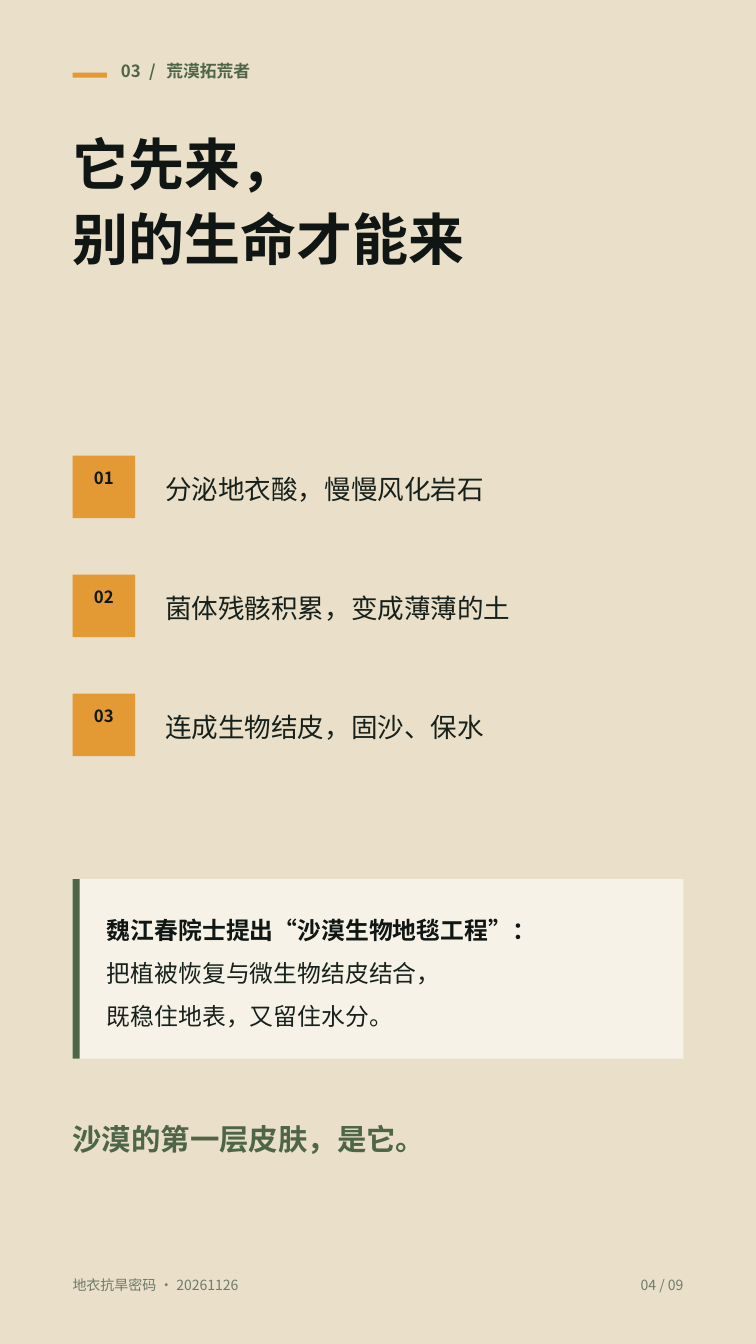
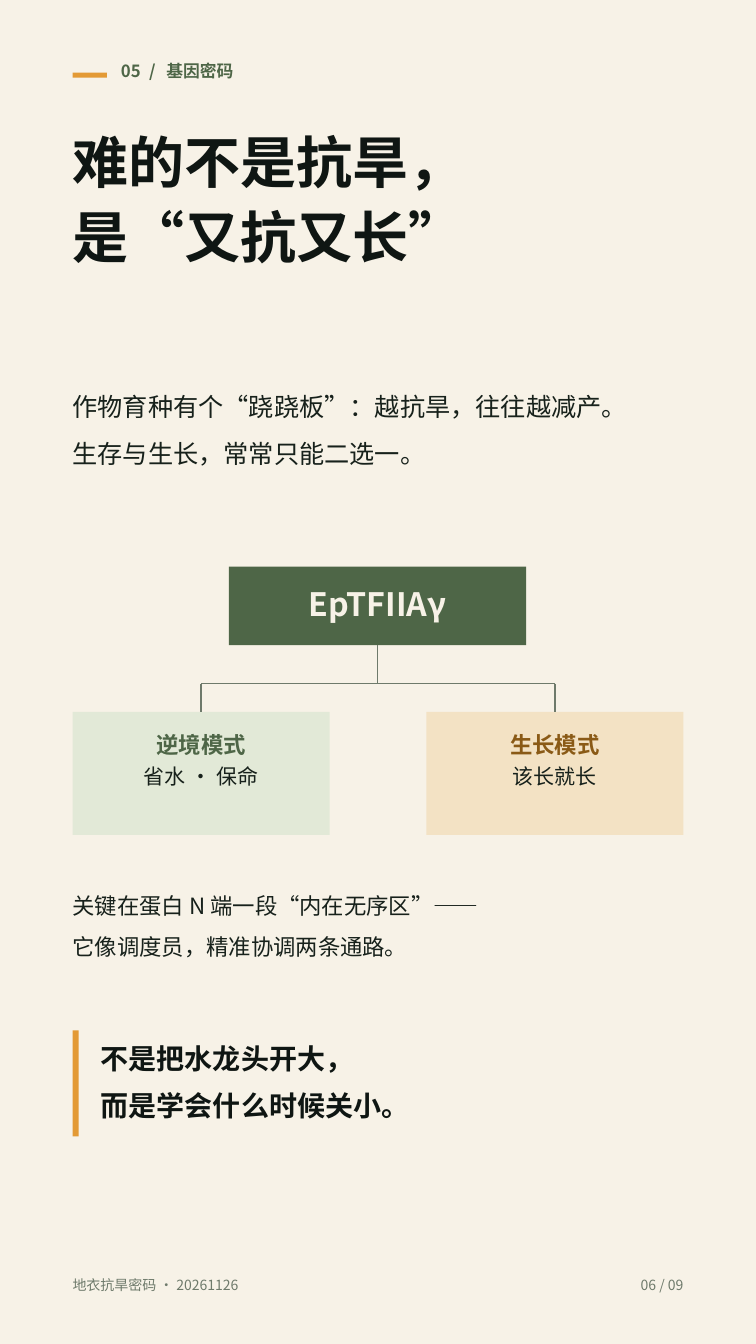
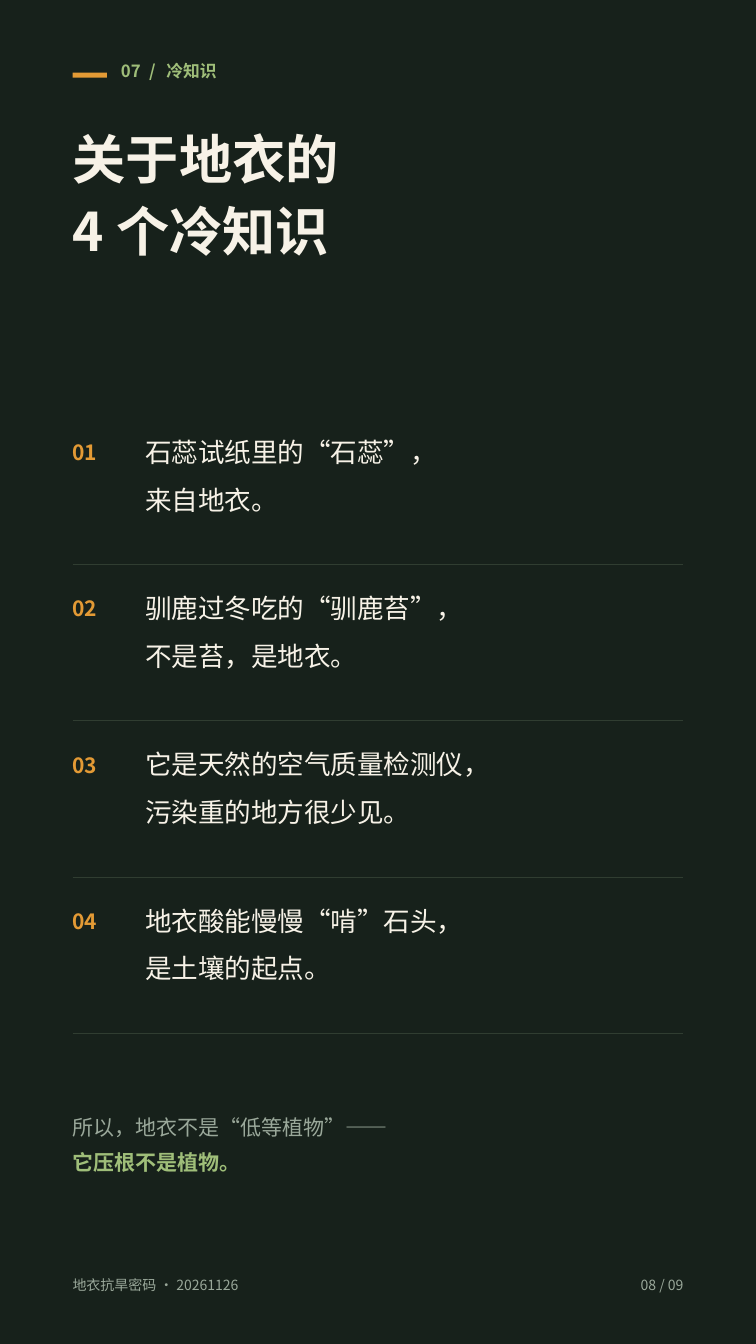
import pptx
import pptx.util
import pptx.dml.color
import pptx.enum.shapes
import pptx.enum.text
import pptx.oxml.ns
from lxml import etree

Inches = pptx.util.Inches
Pt = pptx.util.Pt
qn = pptx.oxml.ns.qn

FONT = "Noto Sans CJK SC"
COLORS = {
    "sand": "EADFC8",
    "cream": "F7F2E7",
    "night": "17211B",
    "ink": "0F1613",
    "moss": "4E6647",
    "leaf": "9FBE79",
    "amber": "E39A35",
    "brown": "8A5A16",
    "mint": "E2E9D7",
    "apricot": "F3E2C4",
    "stone": "6E7A6B",
    "mist": "9AA89A",
    "rule": "303D31",
}
ALIGNMENTS = {
    "left": pptx.enum.text.PP_ALIGN.LEFT,
    "center": pptx.enum.text.PP_ALIGN.CENTER,
    "right": pptx.enum.text.PP_ALIGN.RIGHT,
}
WIDTH, HEIGHT = 7.5, 13.33
MARGIN = 0.72
CONTENT = WIDTH - 2 * MARGIN


def rgb(name):
    return pptx.dml.color.RGBColor.from_string(COLORS[name])


def write(frame, lines, insets=(0, 0, 0, 0), **style):
    frame.word_wrap = True
    frame.auto_size = pptx.enum.text.MSO_AUTO_SIZE.NONE
    frame.vertical_anchor = pptx.enum.text.MSO_ANCHOR.TOP
    (frame.margin_left, frame.margin_top,
     frame.margin_right, frame.margin_bottom) = map(Inches, insets)
    for index, line in enumerate(lines):
        text, changes = (line, {}) if isinstance(line, str) else line
        look = {"size": 12, "color": "night", "bold": False, "align": "left",
                "spacing": None, "tabs": (), **style, **changes}
        paragraph = frame.add_paragraph() if index else frame.paragraphs[0]
        paragraph.alignment = ALIGNMENTS[look["align"]]
        if look["spacing"]:
            paragraph.line_spacing = look["spacing"]
        if look["tabs"]:
            stops = etree.SubElement(paragraph._p.get_or_add_pPr(), qn("a:tabLst"))
            for stop in look["tabs"]:
                etree.SubElement(stops, qn("a:tab"), pos=str(Inches(stop)), algn="l")
        run = paragraph.add_run()
        run.text = text
        run.font.size = Pt(look["size"])
        run.font.bold = look["bold"]
        run.font.color.rgb = rgb(look["color"])
        run.font.name = FONT
        etree.SubElement(run._r.get_or_add_rPr(), qn("a:ea"), typeface=FONT)


class Deck:
    def __init__(self):
        self.presentation = pptx.Presentation()
        self.presentation.slide_width = Inches(WIDTH)
        self.presentation.slide_height = Inches(HEIGHT)
        self.slide = None

    def start(self, background, section, title, page, title_top=1.18, title_size=40,
              title_color="ink", section_color="moss", footer_color="stone"):
        self.slide = self.presentation.slides.add_slide(self.presentation.slide_layouts[5])
        self.slide.background.fill.solid()
        self.slide.background.fill.fore_color.rgb = rgb(background)
        heading = self.slide.shapes.title
        heading.left, heading.top = Inches(MARGIN), Inches(title_top)
        heading.width, heading.height = Inches(CONTENT), Inches(2)
        write(heading.text_frame, title, size=title_size, color=title_color,
              bold=True, spacing=1.12)
        self.box(MARGIN, 0.72, 0.34, 0.05, "amber")
        self.text(1.2, 0.6, 5, 0.34, [section], color=section_color, bold=True,
                  tabs=(0.28, 0.45))
        self.text(MARGIN, 12.66, 3.6, 0.3, ["地衣抗旱密码 · 20261126"],
                  size=10, color=footer_color)
        self.text(WIDTH - MARGIN - 1.2, 12.66, 1.2, 0.3, [f"{page} / 09"],
                  size=10, color=footer_color, align="right")

    def text(self, left, top, width, height, lines, **style):
        area = self.slide.shapes.add_textbox(
            Inches(left), Inches(top), Inches(width), Inches(height))
        write(area.text_frame, lines, **style)

    def box(self, left, top, width, height, fill, lines=(), **style):
        block = self.slide.shapes.add_shape(
            pptx.enum.shapes.MSO_SHAPE.RECTANGLE,
            Inches(left), Inches(top), Inches(width), Inches(height))
        block.shadow.inherit = False
        block.fill.solid()
        block.fill.fore_color.rgb = rgb(fill)
        block.line.fill.background()
        if lines:
            write(block.text_frame, lines, **style)
        return block

    def line(self, start, end, color, weight, begin=None, finish=None):
        connector = self.slide.shapes.add_connector(
            pptx.enum.shapes.MSO_CONNECTOR.STRAIGHT,
            *map(Inches, start), *map(Inches, end))
        connector.line.color.rgb = rgb(color)
        connector.line.width = Pt(weight)
        etree.SubElement(connector._element.spPr, qn("a:effectLst"))
        if begin:
            connector.begin_connect(*begin)
        if finish:
            connector.end_connect(*finish)


def build_pioneer(deck):
    deck.start("sand", "03\t/\t荒漠拓荒者", ["它先来，", "别的生命才能来"], "04", title_top=1.2)
    steps = ["分泌地衣酸，慢慢风化岩石", "菌体残骸积累，变成薄薄的土", "连成生物结皮，固沙、保水"]
    for index, step in enumerate(steps):
        top = 4.52 + 1.18 * index
        deck.box(MARGIN, top, 0.62, 0.62, "amber", [f"{index + 1:02d}"],
                 insets=(0, 0.12, 0, 0), color="ink", bold=True, align="center")
        deck.text(1.64, top + 0.04, 5.14, 1, [step], size=19, spacing=1.4)
    proposal = [
        ("魏江春院士提出“沙漠生物地毯工程”：", {"color": "ink", "bold": True}),
        "把植被恢复与微生物结皮结合，",
        "既稳住地表，又留住水分。",
    ]
    deck.box(MARGIN, 8.72, CONTENT, 1.78, "cream", proposal,
             insets=(0.34, 0.22, 0.28, 0), size=17, spacing=1.5)
    deck.box(MARGIN, 8.72, 0.07, 1.78, "moss")
    deck.text(MARGIN, 11.05, CONTENT, 0.9, ["沙漠的第一层皮肤，是它。"],
              size=21, color="moss", bold=True, spacing=1.2)


def build_gene(deck):
    deck.start("cream", "05\t/\t基因密码", ["难的不是抗旱，", "是“又抗又长”"], "06")
    deck.text(MARGIN, 3.72, CONTENT, 1.4,
              ["作物育种有个“跷跷板”：越抗旱，往往越减产。", "生存与生长，常常只能二选一。"],
              size=18, spacing=1.55)

    center, branch_top = WIDTH / 2, 6.78
    gene_width, mode_width = 2.95, 2.55
    gene = deck.box(2.27, 5.62, gene_width, 0.78, "moss", ["EpTFIIAγ"],
                    insets=(0, 0.18, 0, 0), size=23, color="cream", bold=True, align="center")
    center = 2.27 + gene_width / 2
    deck.line((center, 6.4), (center, branch_top), "stone", 1.2, begin=(gene, 2))
    modes = [
        (MARGIN, "mint", "moss", "逆境模式", "省水 · 保命"),
        (WIDTH - MARGIN - mode_width, "apricot", "brown", "生长模式", "该长就长"),
    ]
    middles = [mode[0] + mode_width / 2 for mode in modes]
    deck.line((middles[0], branch_top), (middles[1], branch_top), "stone", 1.2)
    for middle, (left, fill, accent, name, effect) in zip(middles, modes):
        mode = deck.box(left, 7.06, mode_width, 1.22, fill,
                        [(name, {"size": 16, "color": accent, "bold": True}), effect],
                        insets=(0, 0.14, 0, 0), size=15, align="center", spacing=1.2)
        deck.line((middle, branch_top), (middle, 7.06), "stone", 1.2, finish=(mode, 0))

    deck.text(MARGIN, 8.72, CONTENT, 1.2,
              ["关键在蛋白 N 端一段“内在无序区”——", "它像调度员，精准协调两条通路。"],
              size=16, spacing=1.5)
    deck.box(MARGIN, 10.22, 0.06, 1.05, "amber")
    deck.text(1, 10.2, 5.71, 1.1, ["不是把水龙头开大，", "而是学会什么时候关小。"],
              size=20, color="ink", bold=True, spacing=1.4)


def build_facts(deck):
    deck.start("night", "07\t/\t冷知识", ["关于地衣的", "4 个冷知识"], "08", title_size=38,
               title_color="cream", section_color="leaf", footer_color="mist")
    facts = [
        ("石蕊试纸里的“石蕊”，", "来自地衣。"),
        ("驯鹿过冬吃的“驯鹿苔”，", "不是苔，是地衣。"),
        ("它是天然的空气质量检测仪，", "污染重的地方很少见。"),
        ("地衣酸能慢慢“啃”石头，", "是土壤的起点。"),
    ]
    for index, (opening, ending) in enumerate(facts):
        top = 4.32 + 1.55 * index
        deck.text(MARGIN, top + 0.04, 0.62, 0.4, [f"{index + 1:02d}"],
                  size=15, color="amber", bold=True)
        deck.text(1.44, top, 5.34, 1.05, [opening, (ending, {"spacing": 1.5})],
                  size=19, color="cream")
        rule_top = top + 1.28
        deck.line((MARGIN, rule_top), (WIDTH - MARGIN, rule_top), "rule", 0.8)
    deck.text(MARGIN, 10.95, CONTENT, 0.9,
              ["所以，地衣不是“低等植物”——",
               ("它压根不是植物。", {"color": "leaf", "bold": True})],
              size=15, color="mist", spacing=1.4)


def main():
    deck = Deck()
    build_pioneer(deck)
    build_gene(deck)
    build_facts(deck)
    deck.presentation.save("out.pptx")


if __name__ == "__main__":
    main()
